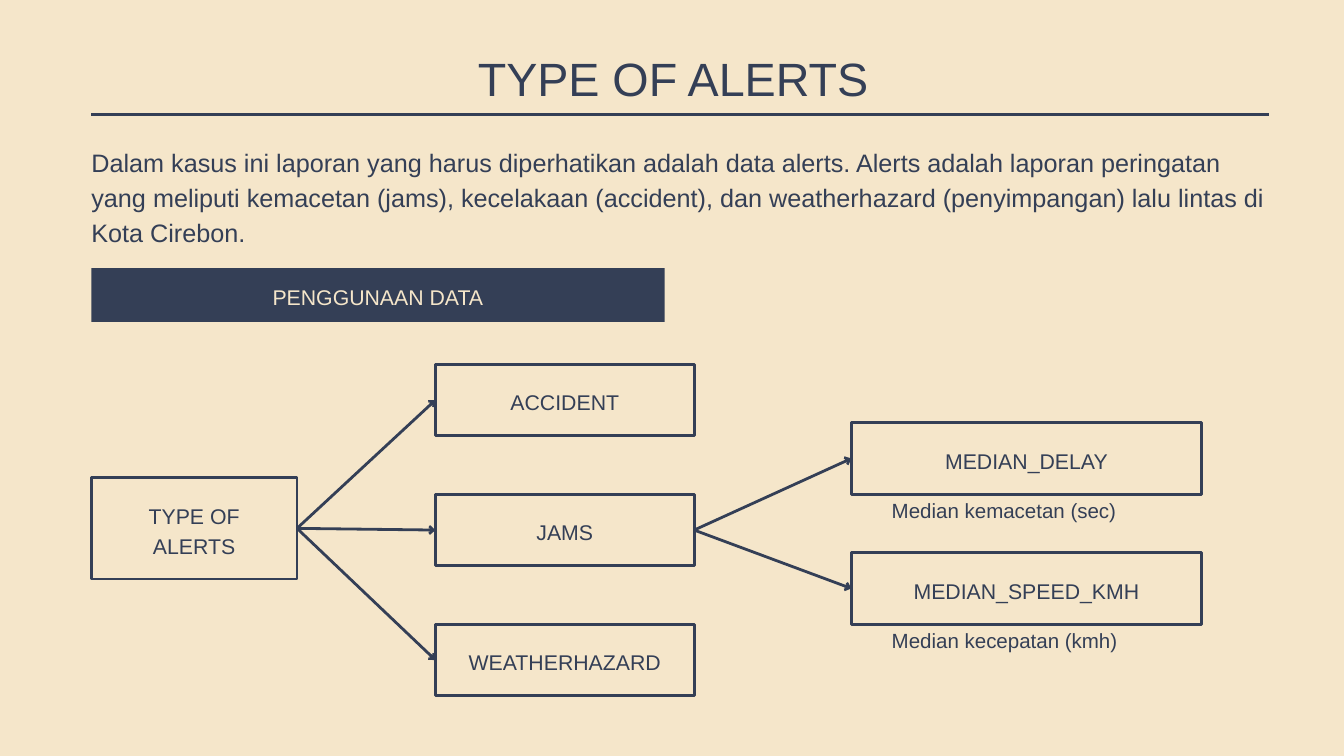
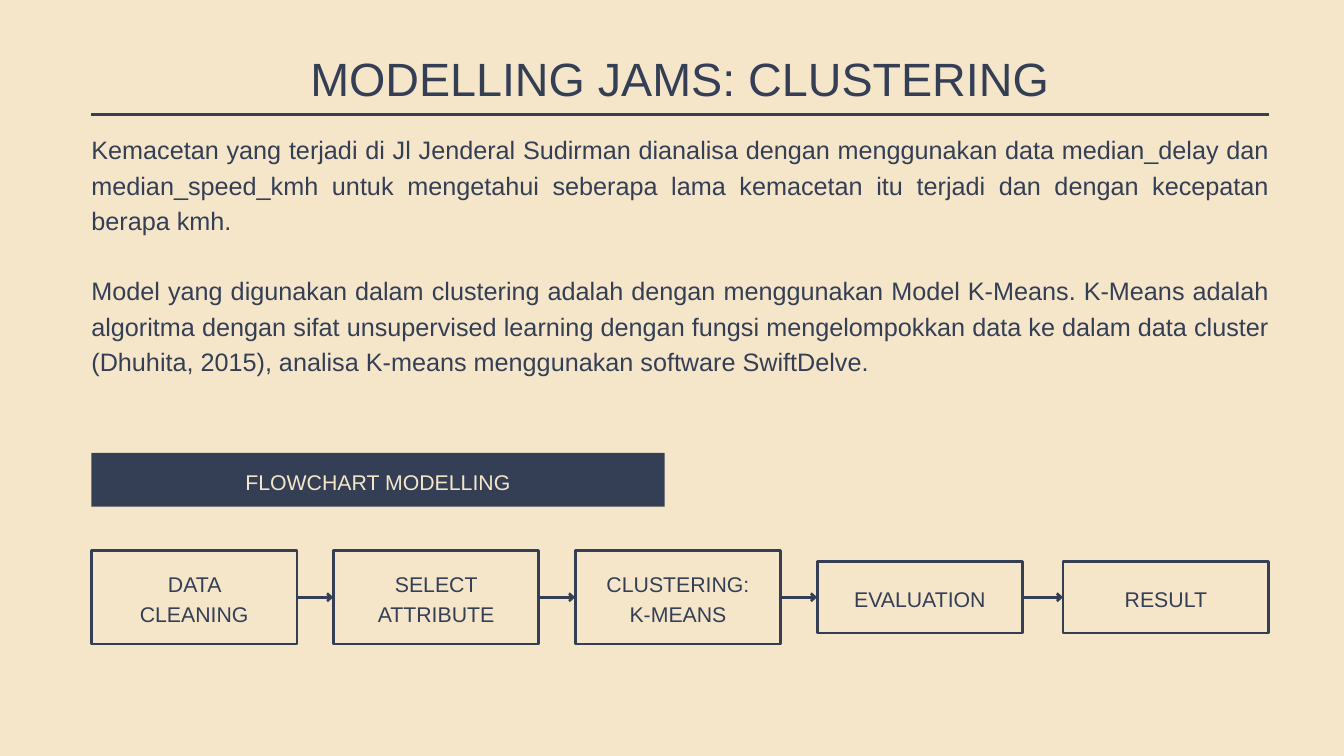
from dataclasses import dataclass

import pptx
import pptx.dml.color
import pptx.enum.shapes
import pptx.enum.text
import pptx.oxml
import pptx.oxml.ns
import pptx.util

ALIGN = pptx.enum.text.PP_ALIGN
ANCHOR = pptx.enum.text.MSO_ANCHOR
SLIDE_WIDTH = pptx.util.Inches(20)
SLIDE_HEIGHT = pptx.util.Inches(11.25)
RIGHT_SIDE, LEFT_SIDE = 3, 1


@dataclass(frozen=True)
class Theme:
    font: str = "Arial"
    ink: str = "343F56"
    paper: str = "F5E6CA"
    title: float = 50
    title_spacing: float = 70
    body: float = 27
    body_spacing: float = 37.8
    label: float = 22.8
    label_spacing: float = 32
    caption: float = 22
    caption_spacing: float = 30.8
    stroke: float = 3


@dataclass(frozen=True)
class Box:
    """Area on a grid of 100 columns by 100 rows covering the slide."""
    column: float
    row: float
    columns: float
    rows: float

    def inside(self, column, row, columns, rows):
        return Box(self.column + column, self.row + row, columns, rows)

    def emu(self):
        return (across(self.column), down(self.row),
                across(self.columns), down(self.rows))


THEME = Theme()
MARGIN, CONTENT = 6.8, 87.6
RULE_ROW = 15.1
NODE_WIDTH, NODE_HEIGHT = 15.3, 9.47
NODE_PADDING = 1.45


def across(columns):
    return int(SLIDE_WIDTH * columns / 100)


def down(rows):
    return int(SLIDE_HEIGHT * rows / 100)


def colour(value):
    return pptx.dml.color.RGBColor.from_string(value)


def write_text(frame, *paragraphs, size, spacing, ink=THEME.ink,
               align=ALIGN.LEFT, anchor=ANCHOR.TOP, padding=0, gap=0):
    frame.word_wrap = True
    frame.vertical_anchor = anchor
    frame.margin_left = frame.margin_right = across(padding)
    frame.margin_top = frame.margin_bottom = 0
    for index, text in enumerate(paragraphs):
        paragraph = frame.add_paragraph() if index else frame.paragraphs[0]
        paragraph.text = text
        paragraph.alignment = align
        paragraph.line_spacing = pptx.util.Pt(spacing)
        if index:
            paragraph.space_before = pptx.util.Pt(gap)
        paragraph.font.name = THEME.font
        paragraph.font.size = pptx.util.Pt(size)
        paragraph.font.color.rgb = colour(ink)


def add_text(slide, box, *paragraphs, **text_format):
    shape = slide.shapes.add_textbox(*box.emu())
    write_text(shape.text_frame, *paragraphs, **text_format)


def add_label_box(slide, box, label, filled=False):
    shape = slide.shapes.add_shape(
        pptx.enum.shapes.MSO_SHAPE.RECTANGLE, *box.emu())
    shape.shadow.inherit = False
    if filled:
        shape.fill.solid()
        shape.fill.fore_color.rgb = colour(THEME.ink)
        shape.line.fill.background()
    else:
        shape.fill.background()
        shape.line.color.rgb = colour(THEME.ink)
        shape.line.width = pptx.util.Pt(THEME.stroke)
    write_text(shape.text_frame, label, size=THEME.label,
               spacing=THEME.label_spacing,
               ink=THEME.paper if filled else THEME.ink,
               align=ALIGN.CENTER, anchor=ANCHOR.MIDDLE, padding=NODE_PADDING)
    return shape


def add_line(slide, *ends):
    line = slide.shapes.add_connector(
        pptx.enum.shapes.MSO_CONNECTOR.STRAIGHT, *ends)
    line.line.color.rgb = colour(THEME.ink)
    line.line.width = pptx.util.Pt(THEME.stroke)
    properties = line._element.spPr
    properties.append(pptx.oxml.parse_xml(
        f"<a:effectLst {pptx.oxml.ns.nsdecls('a')}/>"))
    return line


def add_arrow(slide, source, target):
    arrow = add_line(slide, 0, 0, 0, 0)
    arrow.begin_connect(source, RIGHT_SIDE)
    arrow.end_connect(target, LEFT_SIDE)
    arrow.line._get_or_add_ln().append(pptx.oxml.parse_xml(
        f'<a:tailEnd {pptx.oxml.ns.nsdecls("a")} type="arrow" w="med" len="sm"/>'))


def add_base_slide(presentation, title, title_column=MARGIN,
                   title_columns=CONTENT):
    """Background, title and the rule beneath it."""
    slide = presentation.slides.add_slide(presentation.slide_layouts[6])
    slide.background.fill.solid()
    slide.background.fill.fore_color.rgb = colour(THEME.paper)
    add_text(slide, Box(title_column, 5.33, title_columns, 8.36), title,
             size=THEME.title, spacing=THEME.title_spacing, align=ALIGN.CENTER)
    add_line(slide, across(MARGIN), down(RULE_ROW),
             across(MARGIN + CONTENT), down(RULE_ROW))
    return slide


def add_body(slide, box, *paragraphs, align=ALIGN.LEFT):
    add_text(slide, box, *paragraphs, size=THEME.body, align=align,
             spacing=THEME.body_spacing, gap=THEME.body_spacing)


def add_band(slide, row, label):
    add_label_box(slide, Box(MARGIN, row, 42.65, 7.11), label, filled=True)


def add_alert_tree(slide, box):
    """Root, three alert types, and the two measures of jams."""
    row_pitch = 17.2
    root = add_label_box(
        slide, box.inside(0, 15, NODE_WIDTH, 13.42), "TYPE OF ALERTS")

    # Alert types
    kinds = {}
    for index, kind in enumerate(("ACCIDENT", "JAMS", "WEATHERHAZARD")):
        kinds[kind] = add_label_box(
            slide, box.inside(25.6, index * row_pitch, 19.25, NODE_HEIGHT), kind)
        add_arrow(slide, root, kinds[kind])

    # Measures with their captions
    measures = (("MEDIAN_DELAY", "Median kemacetan (sec)"),
                ("MEDIAN_SPEED_KMH", "Median kecepatan (kmh)"))
    for index, (measure, caption) in enumerate(measures):
        area = box.inside(56.55, 7.73 + index * row_pitch, 26.05, NODE_HEIGHT)
        add_arrow(slide, kinds["JAMS"], add_label_box(slide, area, measure))
        add_text(slide, area.inside(3, NODE_HEIGHT, 20.05, 3.73), caption,
                 size=THEME.caption, spacing=THEME.caption_spacing)


def add_flowchart(slide, box):
    """Steps in a row, centred vertically; the last meets the right margin."""
    steps = ("DATA CLEANING", "SELECT ATTRIBUTE", "CLUSTERING: K-MEANS",
             "EVALUATION", "RESULT")
    previous = None
    for index, step in enumerate(steps):
        height = box.rows if " " in step else NODE_HEIGHT
        column = 18 * index
        if step == steps[-1]:
            column = box.columns - NODE_WIDTH
        node = add_label_box(slide, box.inside(
            column, (box.rows - height) / 2, NODE_WIDTH, height), step)
        if previous is not None:
            add_arrow(slide, previous, node)
        previous = node


def build_alerts_slide(presentation):
    slide = add_base_slide(presentation, "TYPE OF ALERTS", 3.45, 93.3)
    add_body(
        slide, Box(MARGIN, 18.76, CONTENT, 14.04),
        "Dalam kasus ini laporan yang harus diperhatikan adalah data alerts. "
        "Alerts adalah laporan peringatan yang meliputi kemacetan (jams), "
        "kecelakaan (accident), dan weatherhazard (penyimpangan) lalu lintas "
        "di Kota Cirebon.")
    add_band(slide, 35.47, "PENGGUNAAN DATA")
    add_alert_tree(slide, Box(MARGIN, 48.18, CONTENT, 43.87))


def build_clustering_slide(presentation):
    slide = add_base_slide(presentation, "MODELLING JAMS: CLUSTERING")
    add_body(
        slide, Box(MARGIN, 17.16, CONTENT, 36.89),
        "Kemacetan yang terjadi di Jl Jenderal Sudirman dianalisa dengan "
        "menggunakan data median_delay dan median_speed_kmh untuk mengetahui "
        "seberapa lama kemacetan itu terjadi dan dengan kecepatan berapa kmh.",
        "Model yang digunakan dalam clustering adalah dengan menggunakan Model "
        "K-Means. K-Means adalah algoritma dengan sifat unsupervised learning "
        "dengan fungsi mengelompokkan data ke dalam data cluster (Dhuhita, "
        "2015), analisa K-means menggunakan software SwiftDelve.",
        align=ALIGN.JUSTIFY)
    add_band(slide, 59.91, "FLOWCHART MODELLING")
    add_flowchart(slide, Box(MARGIN, 72.8, CONTENT, 12.4))


def main():
    presentation = pptx.Presentation()
    presentation.slide_width = SLIDE_WIDTH
    presentation.slide_height = SLIDE_HEIGHT
    build_alerts_slide(presentation)
    build_clustering_slide(presentation)
    presentation.save("out.pptx")


if __name__ == "__main__":
    main()
